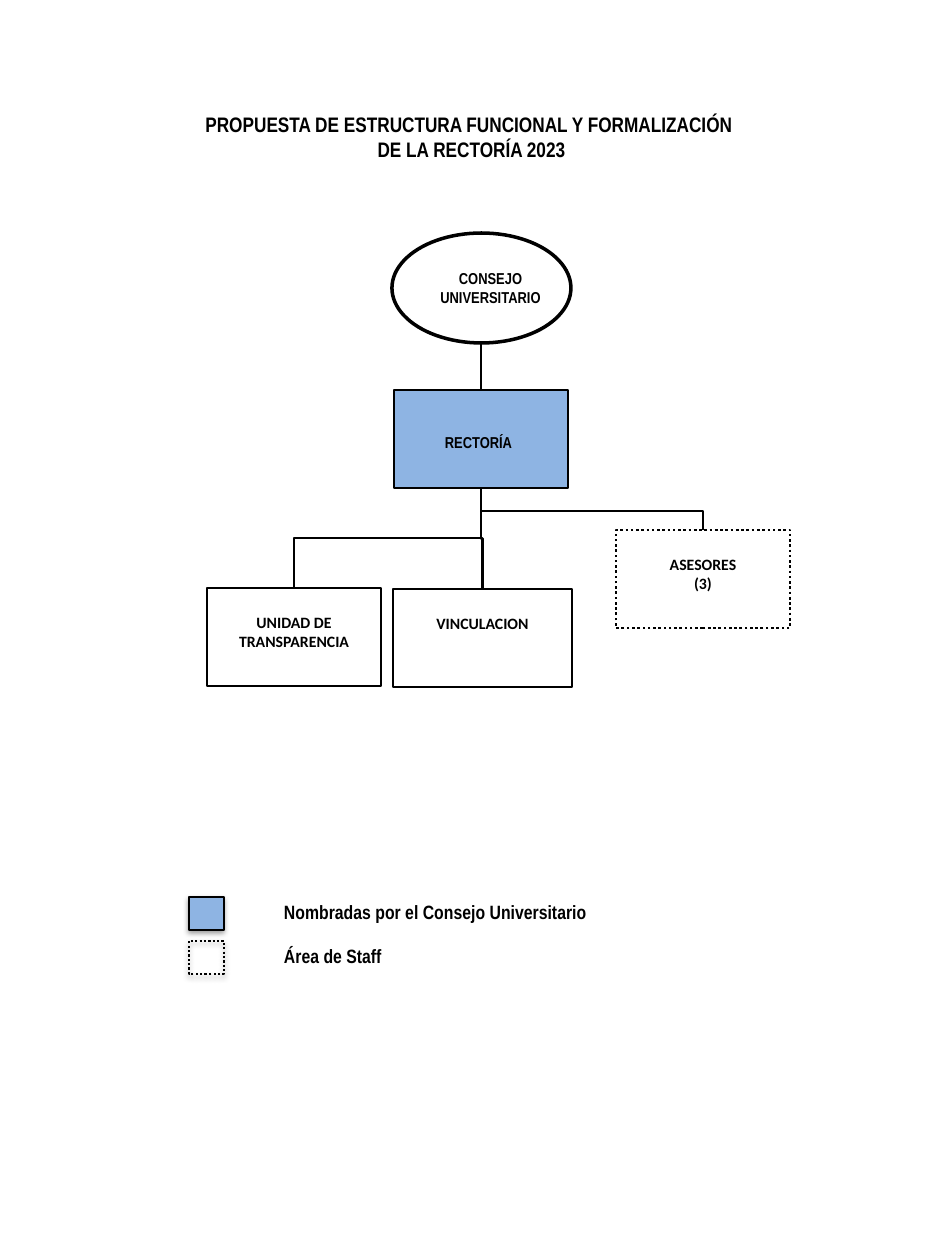
"""Build the organisation chart slide of the rectorate."""
from dataclasses import dataclass

from lxml import etree
from pptx import Presentation
from pptx import util as u
from pptx.dml.color import RGBColor
from pptx.enum import dml, shapes, text
from pptx.oxml import parse_xml
from pptx.oxml.ns import nsdecls, qn

EMU_PER_PX = 914400 / 126
COLORS = {"ink": "000000", "appointed": "8EB4E3"}
NARROW, CALIBRI = "Arial Narrow", "Calibri"
KIND = shapes.MSO_SHAPE
SHADOW = (
    f'<a:effectLst {nsdecls("a")}><a:outerShdw blurRad="39370" dist="20320" dir="5400000" '
    f'rotWithShape="0"><a:srgbClr val="{COLORS["ink"]}"><a:alpha val="38000"/></a:srgbClr>'
    "</a:outerShdw></a:effectLst>"
)


@dataclass(frozen=True)
class Box:
    left: int
    top: int
    width: int
    height: int
    lines: tuple[str, ...] = ()
    font: str = CALIBRI
    kind: int = KIND.RECTANGLE
    fill: str | None = None
    weight: float = 1.5
    dotted: bool = False
    shadow: bool = False
    insets: tuple[int, int, int, int] = (13, 25, 13, 6)


@dataclass(frozen=True)
class Label:
    left: int
    top: int
    width: int
    height: int
    lines: tuple[str, ...]
    size: int
    align: int = text.PP_ALIGN.CENTER
    insets: tuple[int, int, int, int] = (13, 6, 13, 6)


TITLE = Label(155, 105, 633, 63,
              ("PROPUESTA DE ESTRUCTURA FUNCIONAL Y FORMALIZACIÓN ", "DE LA RECTORÍA 2023"), 12)
COUNCIL = Box(392, 233, 179, 110, kind=KIND.OVAL, weight=2)
COUNCIL_LABEL = Label(421, 263, 139, 50, ("CONSEJO UNIVERSITARIO",), 9)
RECTORATE = Box(394, 390, 174, 98, ("RECTORÍA",), NARROW, KIND.FLOWCHART_PROCESS,
                "appointed", insets=(5, 43, 10, 5))
ADVISERS = Box(616, 530, 174, 98, ("ASESORES", "(3)"), dotted=True)
UNITS = (
    Box(207, 588, 174, 98, ("UNIDAD DE TRANSPARENCIA",)),
    Box(393, 589, 179, 98, ("VINCULACION",)),
)
LEGEND = (
    ("Nombradas por el Consejo Universitario", "appointed", 0.75, False),
    ("Área de Staff", None, 1.25, True),
)
LEGEND_TOP, LEGEND_STEP = 897, 44


def px(length: float) -> u.Emu:
    return u.Emu(round(length * EMU_PER_PX))


def rgb(name: str) -> RGBColor:
    return RGBColor.from_string(COLORS[name])


def write(shape, lines, font, size, align, insets) -> None:
    frame = shape.text_frame
    frame.word_wrap = True
    frame.auto_size = text.MSO_AUTO_SIZE.NONE
    frame.vertical_anchor = text.MSO_ANCHOR.TOP
    frame.margin_left, frame.margin_top, frame.margin_right, frame.margin_bottom = map(px, insets)
    frame.text = "\n".join(lines)
    for paragraph in frame.paragraphs:
        paragraph.alignment = align
        paragraph.font.name = font
        paragraph.font.size = u.Pt(size)
        paragraph.font.bold = True
        paragraph.font.color.rgb = rgb("ink")


def draw_box(slide, box: Box):
    shape = slide.shapes.add_shape(
        box.kind, px(box.left), px(box.top), px(box.width), px(box.height))
    if box.shadow:
        shape._element.spPr.append(parse_xml(SHADOW))
    else:
        shape.shadow.inherit = False
    if box.fill:
        shape.fill.solid()
        shape.fill.fore_color.rgb = rgb(box.fill)
    else:
        shape.fill.background()
    shape.line.color.rgb = rgb("ink")
    shape.line.width = u.Pt(box.weight)
    if box.dotted:
        shape.line.dash_style = dml.MSO_LINE.ROUND_DOT
    if box.lines:
        write(shape, box.lines, box.font, 9, text.PP_ALIGN.CENTER, box.insets)
    return shape


def draw_label(slide, label: Label) -> None:
    shape = slide.shapes.add_textbox(
        px(label.left), px(label.top), px(label.width), px(label.height))
    write(shape, label.lines, NARROW, label.size, label.align, label.insets)


def draw_title(slide, label: Label) -> None:
    title = slide.shapes.title
    title.left, title.top = px(label.left), px(label.top)
    title.width, title.height = px(label.width), px(label.height)
    write(title, label.lines, NARROW, label.size, label.align, label.insets)


def draw_line(slide, kind, start_x: int, start_y: int, target):
    connector = slide.shapes.add_connector(
        kind, px(start_x), px(start_y), target.left + target.width // 2, target.top)
    connector.end_connect(target, 0)
    connector.line.color.rgb = rgb("ink")
    connector.line.width = u.Pt(1.5)
    etree.SubElement(connector._element.spPr, qn("a:effectLst"))
    return connector


def draw_branch(slide, parent, child) -> None:
    """Draw an elbow that leaves the parent downwards, by turning it a quarter."""
    connector = draw_line(slide, shapes.MSO_CONNECTOR.ELBOW, 0, 0, child)
    connector.begin_connect(parent, 2)
    start_x, end_x = connector.begin_x, connector.end_x
    start_y, end_y = connector.begin_y, connector.end_y
    connector.width, connector.height = end_y - start_y, abs(end_x - start_x)
    connector.left = (start_x + end_x - connector.width) // 2
    connector.top = (start_y + end_y - connector.height) // 2
    leftwards = end_x < start_x
    transform = connector._element.spPr.find(qn("a:xfrm"))
    transform.set("rot", "5400000" if leftwards else "16200000")
    transform.set("flipH", "0" if leftwards else "1")
    transform.set("flipV", "0")


def draw_chart(slide) -> None:
    draw_box(slide, COUNCIL)
    draw_label(slide, COUNCIL_LABEL)
    rectorate = draw_box(slide, RECTORATE)
    advisers = draw_box(slide, ADVISERS)
    draw_line(slide, shapes.MSO_CONNECTOR.STRAIGHT, COUNCIL.left + COUNCIL.width // 2,
              COUNCIL.top + COUNCIL.height, rectorate)
    for unit in UNITS:
        draw_branch(slide, rectorate, draw_box(slide, unit))
    elbow = draw_line(slide, shapes.MSO_CONNECTOR.ELBOW, 482, 511, advisers)
    elbow._element.spPr.find(qn("a:prstGeom")).set("prst", "bentConnector2")


def draw_legend(slide) -> None:
    for row, (caption, fill, weight, dotted) in enumerate(LEGEND):
        top = LEGEND_TOP + row * LEGEND_STEP
        draw_box(slide, Box(189, top, 35, 33, fill=fill, weight=weight,
                            dotted=dotted, shadow=True))
        draw_label(slide, Label(284, top - 12, 358, 55, (caption,), 11,
                                text.PP_ALIGN.LEFT, (0, 15, 32, 15)))


def main() -> None:
    presentation = Presentation()
    presentation.slide_width, presentation.slide_height = px(945), px(1260)
    slide = presentation.slides.add_slide(presentation.slide_layouts[5])
    draw_title(slide, TITLE)
    draw_chart(slide)
    draw_legend(slide)
    presentation.save("out.pptx")


if __name__ == "__main__":
    main()
